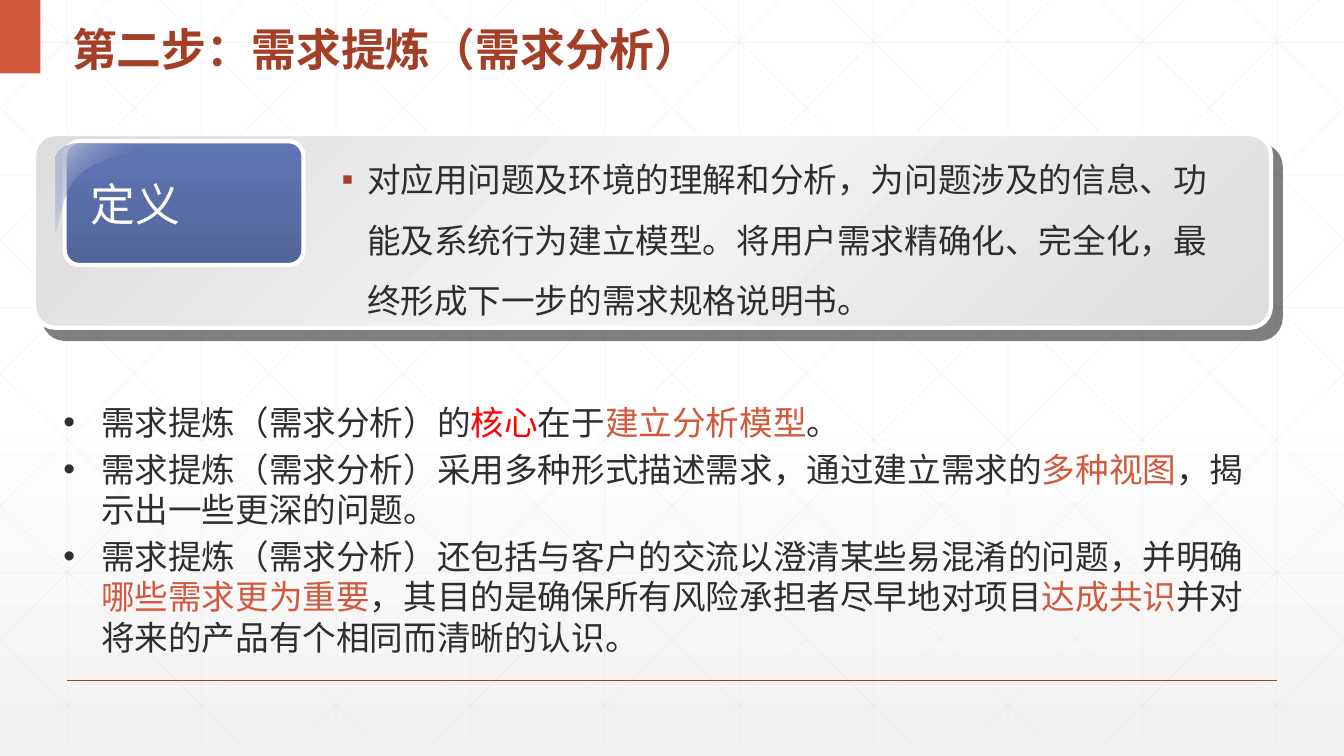
import pptx
import pptx.dml.color
import pptx.enum.shapes
import pptx.enum.text
import pptx.oxml
import pptx.oxml.ns
import pptx.util
from pptx.dml.color import RGBColor
from pptx.util import Cm, Pt

WHITE = RGBColor(0xFF, 0xFF, 0xFF)
PALE = RGBColor(0xF2, 0xF2, 0xF2)
GRID_GREY = RGBColor(0xD9, 0xD9, 0xD9)
PANEL_EDGE = RGBColor(0xDD, 0xDD, 0xDD)
PANEL_LIGHT = RGBColor(0xF3, 0xF3, 0xF3)
BLUE = RGBColor(0x60, 0x76, 0xB4)
DEEP_BLUE = RGBColor(0x52, 0x65, 0x9A)
GLOSS = RGBColor(0xBF, 0xC4, 0xDA)
BRICK = RGBColor(0xA4, 0x3F, 0x27)
ORANGE = RGBColor(0xD1, 0x5A, 0x3E)
RED = RGBColor(0xFF, 0x00, 0x00)
INK = RGBColor(0x2D, 0x2E, 0x2D)
CJK_FONT = "Noto Sans CJK SC"
NS = pptx.oxml.ns.nsdecls("a")
qn = pptx.oxml.ns.qn
SHAPES = pptx.enum.shapes.MSO_SHAPE

SHADOW = (
    f'<a:effectLst {NS}><a:outerShdw blurRad="0" dist="%d" dir="%d" algn="tl" rotWithShape="0">'
    '<a:srgbClr val="000000"><a:alpha val="%d"/></a:srgbClr></a:outerShdw></a:effectLst>'
)


def paint_gradient(fill, element, stops, angle):
    """Fill with (position %, colour, opacity %) stops, turned clockwise by angle."""
    fill.gradient()
    fill.gradient_angle = 360 - angle
    stop_list = next(element.iter(qn("a:gsLst")))
    for old_stop in list(stop_list):
        stop_list.remove(old_stop)
    for position, color, opacity in stops:
        stop_list.append(pptx.oxml.parse_xml(
            f'<a:gs {NS} pos="{position * 1000}"><a:srgbClr val="{color}">'
            f'<a:alpha val="{opacity * 1000}"/></a:srgbClr></a:gs>'))


def add_text(box_cm, paragraphs, font, spacing, bullet=None, bullet_color=INK, indent=0,
             anchor=pptx.enum.text.MSO_ANCHOR.TOP):
    """Add a text box; each paragraph is a list of (text, colour) runs."""
    frame = slide.shapes.add_textbox(*map(Cm, box_cm)).text_frame
    frame.word_wrap = True
    frame.vertical_anchor = anchor
    for number, runs in enumerate(paragraphs):
        paragraph = frame.paragraphs[0] if number == 0 else frame.add_paragraph()
        if bullet:
            properties = paragraph._p.get_or_add_pPr()
            properties.set("marL", str(Cm(indent)))
            properties.set("indent", str(-Cm(indent)))
            for xml in (f'<a:buClr {NS}><a:srgbClr val="{bullet_color}"/></a:buClr>',
                        f'<a:buFont {NS} typeface="Arial"/>',
                        f'<a:buChar {NS} char="{bullet}"/>'):
                properties.append(pptx.oxml.parse_xml(xml))
        paragraph.line_spacing = spacing
        if number:
            paragraph.space_before = Pt(4.5)
        for text, color in runs:
            run = paragraph.add_run()
            run.text = text
            for name, value in font.items():
                setattr(run.font, name, value)
            run.font.color.rgb = color
            run._r.rPr.find(qn("a:latin")).addnext(
                pptx.oxml.parse_xml(f'<a:ea {NS} typeface="{CJK_FONT}"/>'))
    return frame


presentation = pptx.Presentation()
WIDTH, HEIGHT = 33.87, 19.05
presentation.slide_width, presentation.slide_height = Cm(WIDTH), Cm(HEIGHT)
slide = presentation.slides.add_slide(presentation.slide_layouts[6])
paint_gradient(slide.background.fill, slide._element,
               [(0, WHITE, 100), (53, WHITE, 100), (100, PALE, 65)], 90)

# Background lattice: verticals, horizontals and mirrored diagonals
BOTTOM, PITCH = 18.72, WIDTH / 10
DIAGONAL_RUN = 18.94
slope = BOTTOM / DIAGONAL_RUN
lattice = []
for column in range(10):
    x = PITCH * (column + 0.5)
    lattice.append((x, 0, x, BOTTOM))
for row in range(6):
    y = 1.07 + 3.34 * row
    lattice.append((0, y, WIDTH, y))
for step in range(-5, 10):
    top_x = 0.64 + PITCH * step
    x1, x2 = max(top_x, 0), min(top_x + DIAGONAL_RUN, WIDTH)
    y1, y2 = (x1 - top_x) * slope, (x2 - top_x) * slope
    lattice.append((x1, y1, x2, y2))
    lattice.append((WIDTH - x1, y1, WIDTH - x2, y2))

rules = [(ends, GRID_GREY, 0.5, 25) for ends in lattice]
rules.append(((1.69, 17.15, 32.18, 17.15), BRICK, 1, 100))
for ends, color, weight, opacity in rules:
    rule = slide.shapes.add_connector(
        pptx.enum.shapes.MSO_CONNECTOR.STRAIGHT, *map(Cm, ends))
    rule.line.color.rgb = color
    rule.line.width = Pt(weight)
    properties = rule._element.spPr
    next(properties.iter(qn("a:srgbClr"))).append(
        pptx.oxml.parse_xml(f'<a:alpha {NS} val="{opacity * 1000}"/>'))
    properties.append(pptx.oxml.parse_xml(f"<a:effectLst {NS}/>"))

# Title
corner = slide.shapes.add_shape(SHAPES.RECTANGLE, 0, 0, Cm(1.02), Cm(1.85))
corner.shadow.inherit = False
corner.fill.solid()
corner.fill.fore_color.rgb = ORANGE
corner.line.fill.background()
add_text((1.57, 0, 21.41, 2.06), [[("第二步：需求提炼（需求分析）", BRICK)]],
         {"name": CJK_FONT, "size": Pt(32), "bold": True}, Pt(50),
         anchor=pptx.enum.text.MSO_ANCHOR.MIDDLE)

# Definition panel with its label plate
plates = [
    ((0.86, 3.38, 31.17, 4.88), 0.11, 45,
     [(0, PANEL_EDGE, 100), (50, PANEL_LIGHT, 100), (100, PANEL_EDGE, 100)], True),
    ((1.63, 3.56, 6.02, 3.12), 0.12, 90, [(0, BLUE, 100), (100, DEEP_BLUE, 100)], False),
]
for box_cm, rounding, angle, stops, shaded in plates:
    plate = slide.shapes.add_shape(SHAPES.ROUNDED_RECTANGLE, *map(Cm, box_cm))
    plate.adjustments[0] = rounding
    plate.shadow.inherit = False
    paint_gradient(plate.fill, plate._element, stops, angle)
    plate.line.color.rgb = WHITE
    plate.line.width = Pt(3)
    if shaded:
        flat = plate._element.spPr.find(qn("a:effectLst"))
        flat.getparent().replace(
            flat, pptx.oxml.parse_xml(SHADOW % (Pt(10.6), 49 * 60000, 50000)))

# Gloss on the label: cubic curves sampled into short segments
gloss_curves = [
    ((1.98, 3.63), (1.65, 3.63), (1.4, 3.84), (1.4, 4.06)),
    ((1.4, 5.84), (1.52, 5.87), (1.45, 4.78), (2.18, 4.29)),
    ((2.18, 4.29), (2.95, 3.78), (4.39, 3.73), (4.34, 3.63)),
]
outline = []
for curve in gloss_curves:
    for step in range(13):
        t = step / 12
        weights = ((1 - t) ** 3, 3 * t * (1 - t) ** 2, 3 * t * t * (1 - t), t ** 3)
        outline.append(tuple(
            Cm(sum(w * point[axis] for w, point in zip(weights, curve))) for axis in (0, 1)))
builder = slide.shapes.build_freeform(*outline[0])
builder.add_line_segments(outline[1:], close=True)
gloss = builder.convert_to_shape()
gloss.shadow.inherit = False
paint_gradient(gloss.fill, gloss._element, [(0, GLOSS, 100), (50, BLUE, 0), (100, GLOSS, 100)], 45)
gloss.line.fill.background()

label = add_text((2.03, 4.24, 5.21, 1.63), [[("定义", WHITE)]],
                 {"name": "Arial", "size": Pt(32)}, Pt(41))
label.paragraphs[0].runs[0]._r.rPr.find(qn("a:latin")).addprevious(
    pptx.oxml.parse_xml(SHADOW % (Pt(2), 45 * 60000, 100000)))

body_font = {"name": CJK_FONT, "size": Pt(24)}
definition = "对应用问题及环境的理解和分析，为问题涉及的信息、功能及系统行为建立模型。将用户需求精确化、完全化，最终形成下一步的需求规格说明书。"
add_text((8.36, 3.38, 22.91, 4.88), [[(definition, INK)]], body_font, Pt(43.2),
         bullet="▪", bullet_color=BRICK, indent=0.64)

# Key points
key_points = [
    [("需求提炼（需求分析）的", INK), ("核心", RED), ("在于", INK),
     ("建立分析模型", ORANGE), ("。", INK)],
    [("需求提炼（需求分析）采用多种形式描述需求，通过建立需求的", INK),
     ("多种视图", ORANGE), ("，揭示出一些更深的问题。", INK)],
    [("需求提炼（需求分析）还包括与客户的交流以澄清某些易混淆的问题，并明确", INK),
     ("哪些需求更为重要", ORANGE), ("，其目的是确保所有风险承担者尽早地对项目", INK),
     ("达成共识", ORANGE), ("并对将来的产品有个相同而清晰的认识。", INK)],
]
add_text((1.35, 10.01, 30.94, 7.59), key_points, body_font, Pt(28.8), bullet="•", indent=0.95)

presentation.save("out.pptx")
